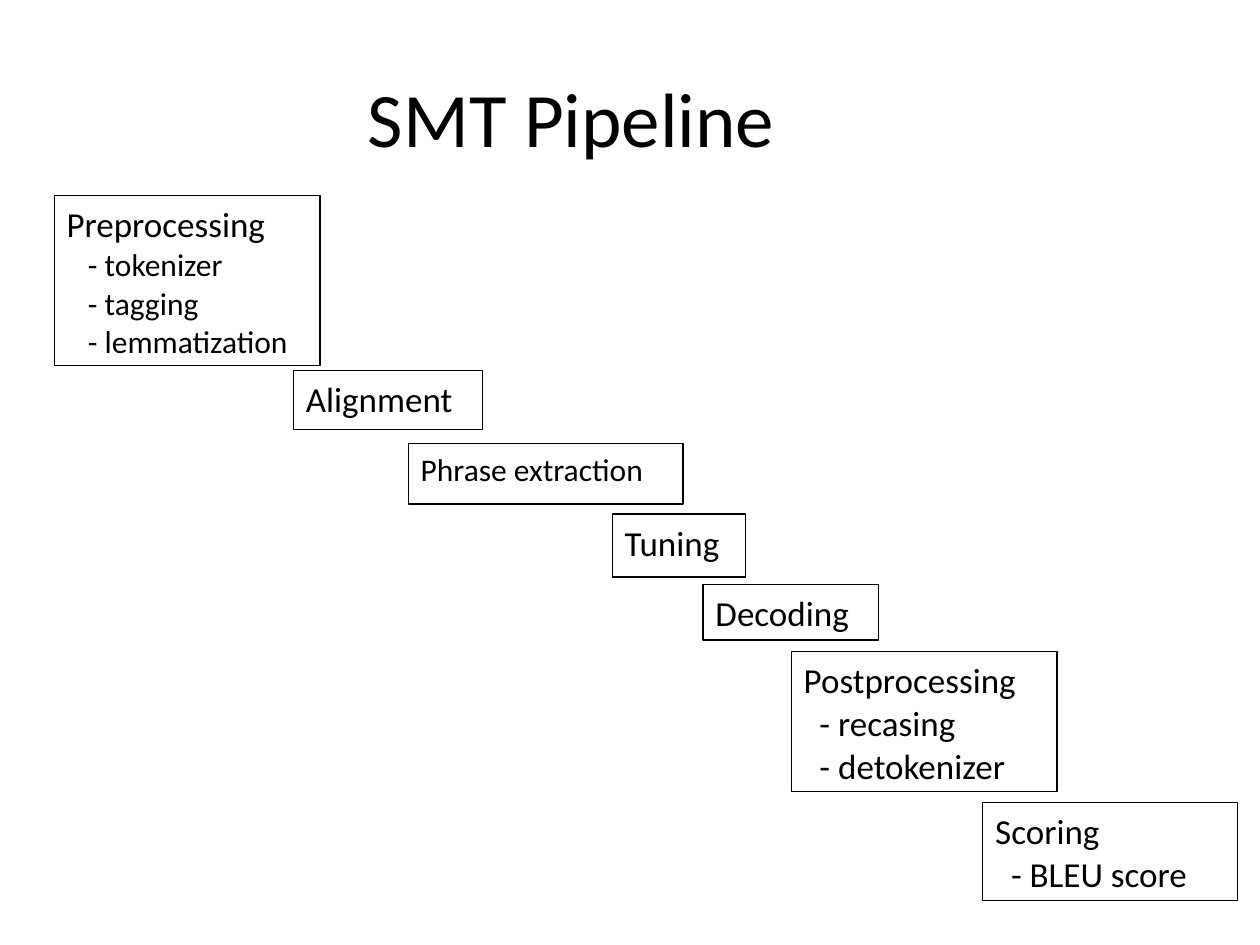
"""Build the SMT Pipeline slide: a staircase of boxed stages under a title."""
from pptx import Presentation
from pptx.dml.color import RGBColor
from pptx.enum.shapes import MSO_SHAPE
from pptx.enum.text import MSO_ANCHOR, PP_ALIGN
from pptx.util import Inches, Pt

RECTANGLE = MSO_SHAPE.RECTANGLE
TOP, MIDDLE = MSO_ANCHOR.TOP, MSO_ANCHOR.MIDDLE
LEFT, CENTER = PP_ALIGN.LEFT, PP_ALIGN.CENTER
BLACK = RGBColor(0, 0, 0)
FONT = "Calibri"
SPACE_WIDTH = 0.226


def style_paragraph(para, size, align):
    para.alignment = align
    for span in para.runs:
        span.font.name = FONT
        span.font.size = Pt(size)
        span.font.color.rgb = BLACK


deck = Presentation()
deck.slide_width, deck.slide_height = Inches(10), Inches(7.5)
page = deck.slides.add_slide(deck.slide_layouts[6])

title = page.shapes.add_textbox(Inches(0.5), Inches(0.3), Inches(8.07), Inches(1.25))
title.text_frame.word_wrap = True
title.text_frame.vertical_anchor = MIDDLE
title.text_frame.text = "SMT Pipeline"
style_paragraph(title.text_frame.paragraphs[0], 44, CENTER)

stages = [
    ("Preprocessing", ["tokenizer", "tagging", "lemmatization"], 20, 18, 3, (0.43, 1.55, 2.11, 1.35)),
    ("Alignment", [], 20, 20, 0, (2.33, 2.94, 1.5, 0.47)),
    ("Phrase extraction", [], 18, 18, 0, (3.24, 3.52, 2.18, 0.48)),
    ("Tuning", [], 20, 20, 0, (4.86, 4.08, 1.06, 0.5)),
    ("Decoding", [], 20, 20, 0, (5.58, 4.64, 1.39, 0.44)),
    ("Postprocessing", ["recasing", "detokenizer"], 20, 20, 2, (6.28, 5.17, 2.11, 1.11)),
    ("Scoring", ["BLEU score"], 20, 20, 2, (7.8, 6.37, 2.02, 0.78)),
]

for name, steps, name_size, step_size, indent, place in stages:
    box = page.shapes.add_shape(RECTANGLE, *[Inches(length) for length in place])
    box.shadow.inherit = False
    box.fill.background()
    box.line.color.rgb = BLACK
    box.line.width = Pt(0.75)
    frame = box.text_frame
    frame.word_wrap = True
    frame.vertical_anchor = TOP
    frame.text = "\n".join([name] + [f"- {step}" for step in steps])
    for row, para in enumerate(frame.paragraphs):
        para.line_spacing = 1.02
        style_paragraph(para, step_size if row else name_size, LEFT)
        if row:
            margin = Pt(indent * SPACE_WIDTH * step_size)
            para._p.get_or_add_pPr().set("marL", str(margin))

deck.save("out.pptx")
